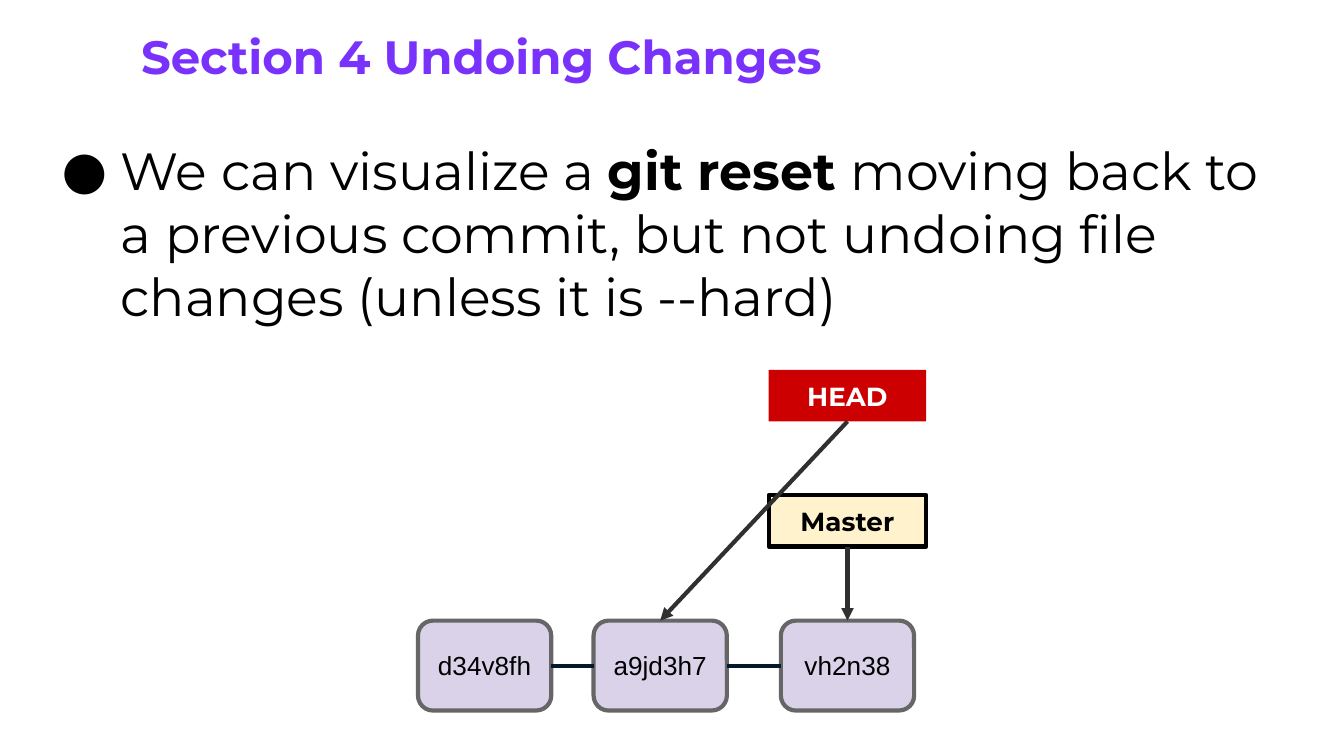
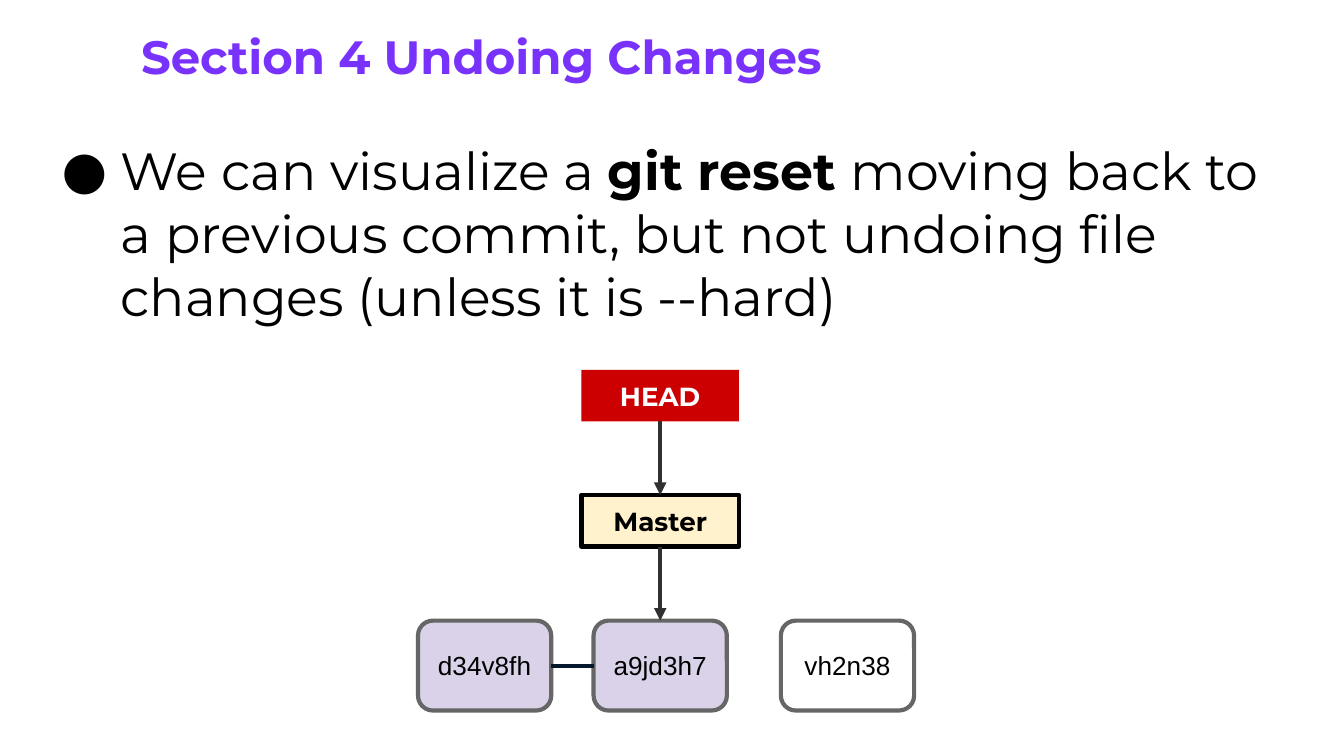
"""Build two slides that show how git reset moves HEAD and Master."""
from lxml import etree
from pptx import Presentation
from pptx.dml.color import RGBColor
from pptx.enum import shapes, text
from pptx.oxml import ns
from pptx.util import Pt

HUES = {"title": "7932FC", "ink": "000000", "white": "FFFFFF", "node": "D9D2E9",
        "edge": "666666", "link": "05192D", "arrow": "303030",
        "master": "FFF2CC", "head": "CC0000"}
RGB = {name: RGBColor.from_string(hue) for name, hue in HUES.items()}
SANS, PLAIN = "Montserrat", "Arial"
FORM, JOIN = shapes.MSO_SHAPE, shapes.MSO_CONNECTOR
SHARED = [("We can visualize a ", False), ("git reset ", True),
          ("moving back to a previous commit, but not undoing file "
           "changes (unless it is --hard)", False)]
NODES = [("d34v8fh", 259.6), ("a9jd3h7", 353.7), ("vh2n38", 454)]
TAGS = [("Master", 265.2, "master", "ink", "ink"),
        ("HEAD", 198.2, "head", None, "white")]
STEPS = [
    {"tag": 2, "fills": ["node", "node", "node"], "links": 2, "head": "node"},
    {"tag": 1, "fills": ["node", "node", "white"], "links": 1, "head": "master"},
]


def write(shape, runs, size, hue, font=SANS, align=text.PP_ALIGN.LEFT,
          anchor=text.MSO_ANCHOR.TOP):
    frame = shape.text_frame
    frame.word_wrap = True
    frame.vertical_anchor = anchor
    frame.margin_left = frame.margin_right = Pt(7.2)
    frame.margin_top = frame.margin_bottom = Pt(7.2)
    para = frame.paragraphs[0]
    para.alignment = align
    for words, bold in runs:
        run = para.add_run()
        run.text = words
        run.font.name, run.font.size, run.font.bold = font, Pt(size), bold
        run.font.color.rgb = RGB[hue]
    return frame


def join(slide, kind, start, end, sites, hue):
    line = slide.shapes.add_connector(kind, 0, 0, 0, 0)
    line.begin_connect(start, sites[0])
    line.end_connect(end, sites[1])
    line.line.color.rgb, line.line.width = RGB[hue], Pt(2.25)
    if kind == JOIN.STRAIGHT:
        tip = etree.SubElement(line.line._get_or_add_ln(), ns.qn("a:tailEnd"))
        tip.set("type", "triangle")
    etree.SubElement(line._element.spPr, ns.qn("a:effectLst"))


deck = Presentation()
deck.slide_width, deck.slide_height = Pt(720), Pt(405)

for step in STEPS:
    slide = deck.slides.add_slide(deck.slide_layouts[5])
    title = slide.shapes.title
    title.left, title.top, title.width, title.height = Pt(68.4), Pt(7.9), Pt(526.3), Pt(44.6)
    frame = write(title, [("Section 4 Undoing Changes", True)], 25, "title")
    frame.auto_size = text.MSO_AUTO_SIZE.SHAPE_TO_FIT_TEXT

    body = slide.shapes.add_textbox(Pt(21.6), Pt(67), Pt(666), Pt(116.6))
    frame = write(body, SHARED, 28, "ink")
    frame.auto_size = text.MSO_AUTO_SIZE.SHAPE_TO_FIT_TEXT
    props = frame.paragraphs[0]._p.get_or_add_pPr()
    props.set("marL", str(Pt(36)))
    props.set("indent", str(Pt(-31.7)))
    tint = etree.SubElement(props, ns.qn("a:buClr"))
    etree.SubElement(tint, ns.qn("a:srgbClr")).set("val", HUES["ink"])
    etree.SubElement(props, ns.qn("a:buFont")).set("typeface", SANS)
    etree.SubElement(props, ns.qn("a:buChar")).set("char", "●")

    mid = NODES[step["tag"]][1]
    cards = [(FORM.ROUNDED_RECTANGLE, name, x, 332.5, 71.4, 48.2, fill, "edge", "ink", PLAIN)
             for (name, x), fill in zip(NODES, step["fills"])]
    cards += [(FORM.RECTANGLE, name, mid, top, 84.4, 27.6, fill, edge, ink, SANS)
              for name, top, fill, edge, ink in TAGS]
    made = []
    for form, name, x, top, wide, high, fill, edge, ink, font in cards:
        card = slide.shapes.add_shape(form, Pt(x - wide / 2), Pt(top), Pt(wide), Pt(high))
        card.shadow.inherit = False
        card.fill.solid()
        card.fill.fore_color.rgb = RGB[fill]
        if edge:
            card.line.color.rgb, card.line.width = RGB[edge], Pt(2.25)
        else:
            card.line.fill.background()
        write(card, [(name, font == SANS)], 14, ink, font,
              text.PP_ALIGN.CENTER, text.MSO_ANCHOR.MIDDLE)
        made.append(card)

    *nodes, master, head = made
    for left, right in list(zip(nodes, nodes[1:]))[:step["links"]]:
        join(slide, JOIN.ELBOW, left, right, (3, 1), "link")
    goal = master if step["head"] == "master" else nodes[1]
    join(slide, JOIN.STRAIGHT, master, nodes[step["tag"]], (2, 0), "arrow")
    join(slide, JOIN.STRAIGHT, head, goal, (2, 0), "arrow")

deck.save("out.pptx")
